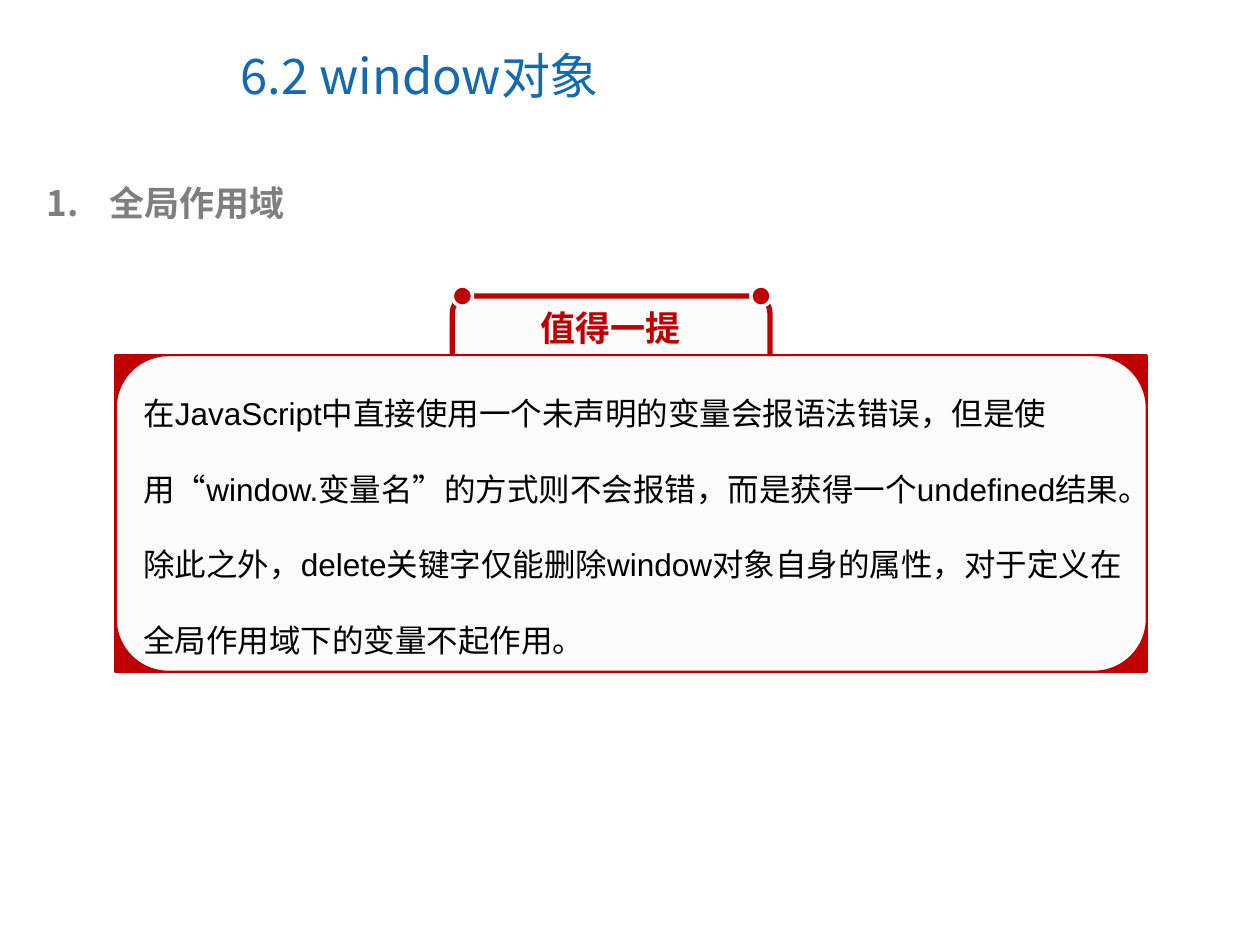
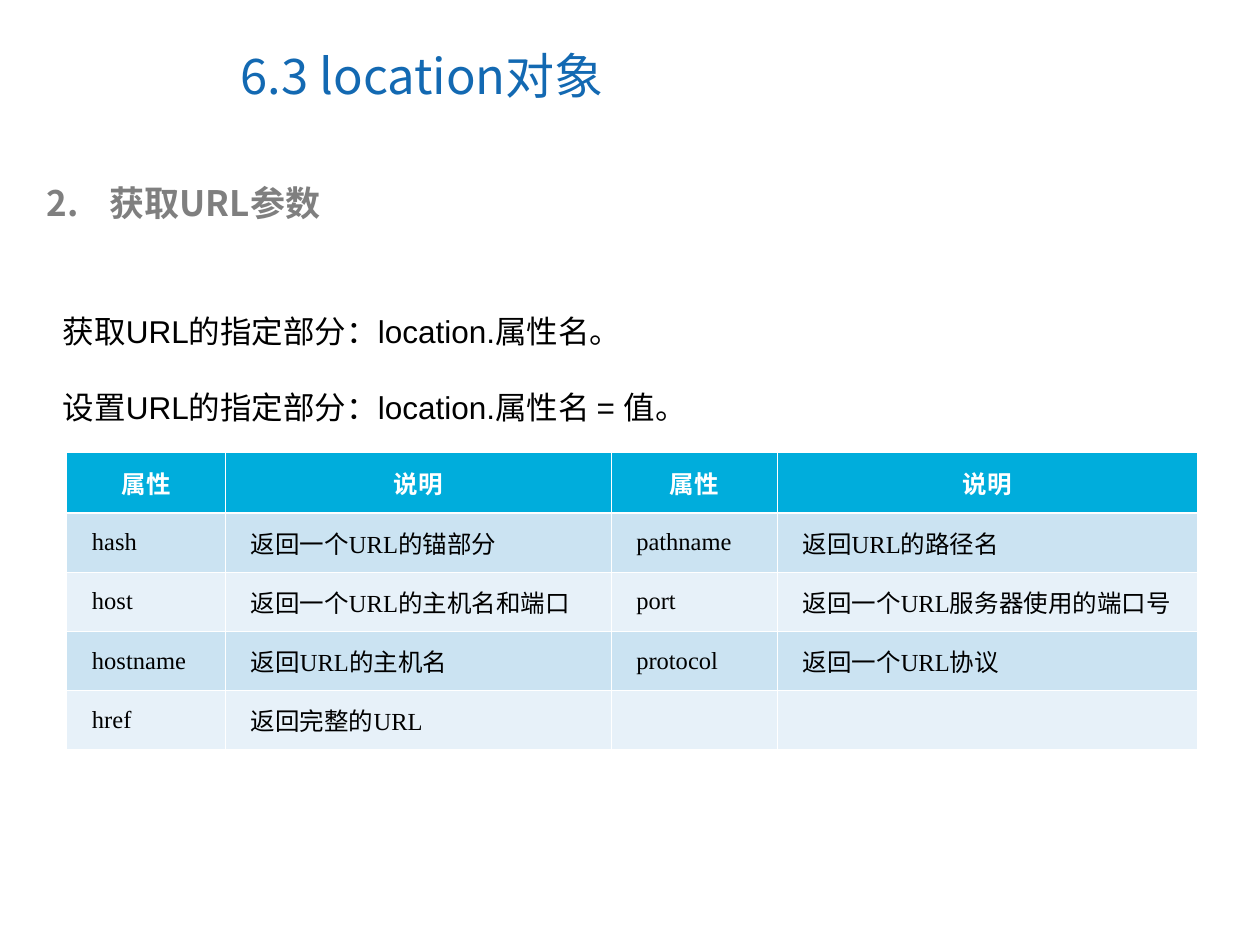
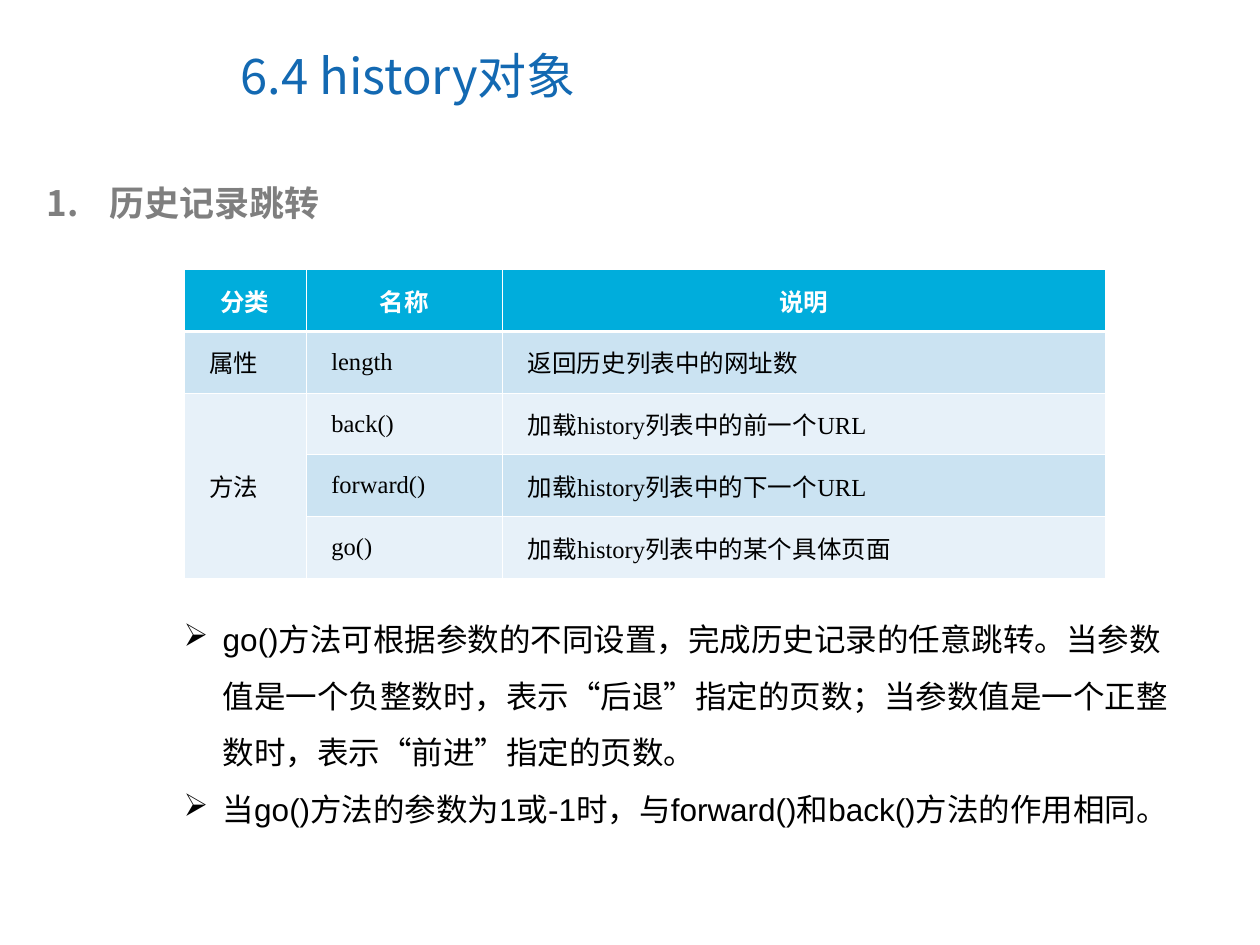
from lxml import etree
from pptx import Presentation
from pptx.dml.color import RGBColor
from pptx.enum import shapes, text
from pptx.oxml.ns import qn
from pptx.util import Inches, Pt

# Shared style
BLUE = RGBColor(0x13, 0x69, 0xB2)
GRAY = RGBColor(0x7F, 0x7F, 0x7F)
RED = RGBColor(0xC0, 0x00, 0x00)
PAPER = RGBColor(0xFB, 0xFB, 0xFB)
WHITE = RGBColor(0xFF, 0xFF, 0xFF)
BLACK = RGBColor(0x00, 0x00, 0x00)
HEADER_FILL = RGBColor(0x00, 0xAD, 0xDC)
BAND_FILLS = RGBColor(0xE7, 0xF1, 0xF9), RGBColor(0xCB, 0xE3, 0xF2)
CHINESE = "Noto Sans CJK SC"
BODY = "Arial"
CELL = "Times New Roman"
THIN, THICK = 0.5, 1.5

# Content
NOTE_TITLE = "值得一提"
NOTE = ("在JavaScript中直接使用一个未声明的变量会报语法错误，但是使用“window.变量名”的方式则不会报错，"
        "而是获得一个undefined结果。除此之外，delete关键字仅能删除window对象自身的属性，"
        "对于定义在全局作用域下的变量不起作用。")
URL_USAGE = ["获取URL的指定部分：location.属性名。", "设置URL的指定部分：location.属性名 = 值。"]
URL_ROWS = [
    ("属性", "说明", "属性", "说明"),
    ("hash", "返回一个URL的锚部分", "pathname", "返回URL的路径名"),
    ("host", "返回一个URL的主机名和端口", "port", "返回一个URL服务器使用的端口号"),
    ("hostname", "返回URL的主机名", "protocol", "返回一个URL协议"),
    ("href", "返回完整的URL", "", ""),
]
HISTORY_ROWS = [
    ("分类", "名称", "说明"),
    ("属性", "length", "返回历史列表中的网址数"),
    ("方法", "back()", "加载history列表中的前一个URL"),
    ("", "forward()", "加载history列表中的下一个URL"),
    ("", "go()", "加载history列表中的某个具体页面"),
]
HISTORY_NOTES = [
    "go()方法可根据参数的不同设置，完成历史记录的任意跳转。当参数值是一个负整数时，"
    "表示“后退”指定的页数；当参数值是一个正整数时，表示“前进”指定的页数。",
    "当go()方法的参数为1或-1时，与forward()和back()方法的作用相同。",
]


def set_font(paragraph, size, color, name=BODY, bold=False):
    font = paragraph.font
    font.size, font.name, font.bold = Pt(size), name, bold
    font.color.rgb = color
    latin = font._element.find(qn("a:latin"))
    east_asian = etree.Element(qn("a:ea"), typeface=CHINESE)
    latin.addnext(east_asian)


def add_bullet(paragraph, indent, color, tag, **attributes):
    properties = paragraph._p.get_or_add_pPr()
    properties.set("marL", str(Inches(indent)))
    properties.set("indent", str(-Inches(indent)))
    bullet_color = etree.SubElement(properties, qn("a:buClr"))
    etree.SubElement(bullet_color, qn("a:srgbClr"), val=str(color))
    etree.SubElement(properties, qn(tag), **attributes)


def add_text(slide, box, lines, wrap=True):
    frame = slide.shapes.add_textbox(*map(Inches, box)).text_frame
    frame.word_wrap = wrap
    frame.text = "\n".join(lines)
    return frame.paragraphs


def add_box(slide, kind, box, fill, line, width):
    shape = slide.shapes.add_shape(kind, *map(Inches, box))
    shape.shadow.inherit = False
    shape.fill.solid()
    shape.fill.fore_color.rgb = fill
    shape.line.color.rgb = line
    shape.line.width = Pt(width)
    return shape


def add_section(presentation, title, number, heading):
    slide = presentation.slides.add_slide(presentation.slide_layouts[5])
    shape = slide.shapes.title
    shape.left, shape.top, shape.width, shape.height = map(Inches, (1.81, 0.17, 5.16, 0.85))
    frame = shape.text_frame
    frame.text = title
    frame.auto_size = text.MSO_AUTO_SIZE.NONE
    frame.vertical_anchor = text.MSO_ANCHOR.MIDDLE
    paragraph = frame.paragraphs[0]
    paragraph.alignment = text.PP_ALIGN.LEFT
    set_font(paragraph, 28, BLUE, CHINESE)

    paragraph = add_text(slide, (0.27, 1.39, 9.22, 0.44), [heading])[0]
    add_bullet(paragraph, 0.5, GRAY, "a:buAutoNum", type="arabicPeriod", startAt=str(number))
    set_font(paragraph, 20, GRAY, CHINESE, bold=True)
    return slide


def set_borders(cell, top, bottom):
    properties = cell._tc.get_or_add_tcPr()
    for side, width in (("L", THIN), ("R", THIN), ("T", top), ("B", bottom)):
        line = etree.SubElement(properties, qn(f"a:ln{side}"), w=str(Pt(width)))
        fill = etree.SubElement(line, qn("a:solidFill"))
        etree.SubElement(fill, qn("a:srgbClr"), val=str(WHITE))


def add_grid(slide, left, top, rows, widths, heights):
    table = slide.shapes.add_table(
        len(rows), len(widths), Inches(left), Inches(top),
        Inches(sum(widths)), Inches(sum(heights))).table
    for column, width in zip(table.columns, widths):
        column.width = Inches(width)
    for i, (row, height) in enumerate(zip(rows, heights)):
        table.rows[i].height = Inches(height)
        for j, label in enumerate(row):
            cell = table.cell(i, j)
            set_borders(cell, THICK if i == 1 else THIN, THICK if i == 0 else THIN)
            cell.fill.solid()
            cell.fill.fore_color.rgb = BAND_FILLS[i % 2] if i else HEADER_FILL
            cell.vertical_anchor = text.MSO_ANCHOR.MIDDLE
            cell.margin_left = cell.margin_right = Inches(0.08)
            cell.text = label
            paragraph = cell.text_frame.paragraphs[0]
            if i == 0:
                paragraph.alignment = text.PP_ALIGN.CENTER
                set_font(paragraph, 14, WHITE, bold=True)
            else:
                paragraph.alignment = text.PP_ALIGN.JUSTIFY
                paragraph._p.get_or_add_pPr().set("marL", str(Inches(0.12)))
                set_font(paragraph, 14, BLACK, CELL)
    return table


def build_window(presentation):
    slide = add_section(presentation, "6.2 window对象", 1, "全局作用域")
    kinds = shapes.MSO_SHAPE
    # Tab behind the note, then the note panel
    add_box(slide, kinds.ROUNDED_RECTANGLE, (3.59, 2.35, 2.52, 0.79), PAPER, RED, 3)
    panel = (0.92, 2.82, 8.18, 2.51)
    add_box(slide, kinds.FLOWCHART_PROCESS, panel, RED, RED, 2)
    add_box(slide, kinds.FLOWCHART_ALTERNATE_PROCESS, panel, PAPER, RED, 1)
    # Pins on the tab corners
    for left in (3.59, 5.96):
        add_box(slide, kinds.OVAL, (left, 2.27, 0.16, 0.16), RED, WHITE, 2)
    label = add_text(slide, (4.19, 2.38, 1.31, 0.44), [NOTE_TITLE], wrap=False)[0]
    set_font(label, 20, RED, CHINESE, bold=True)
    note = add_text(slide, (1.04, 2.78, 8.07, 2.5), [NOTE])[0]
    note.line_spacing = 2.0
    set_font(note, 18, BLACK)


def build_location(presentation):
    slide = add_section(presentation, "6.3 location对象", 2, "获取URL参数")
    for paragraph in add_text(slide, (0.4, 2.13, 9.19, 1.3), URL_USAGE):
        paragraph.line_spacing = 2.0
        set_font(paragraph, 18, BLACK)
    add_grid(slide, 0.53, 3.59, URL_ROWS, (1.26, 3.06, 1.32, 3.33), [0.48] + [0.47] * 4)


def build_history(presentation):
    slide = add_section(presentation, "6.4 history对象", 1, "历史记录跳转")
    table = add_grid(slide, 1.46, 2.14, HISTORY_ROWS, (0.97, 1.56, 4.78), [0.49] * 5)
    table.cell(2, 0).merge(table.cell(4, 0))
    for paragraph in add_text(slide, (1.36, 4.72, 8.16, 2.35), HISTORY_NOTES):
        add_bullet(paragraph, 0.31, BLACK, "a:buChar", char="➢")
        paragraph.line_spacing = 1.5
        set_font(paragraph, 18, BLACK)


def main():
    presentation = Presentation()
    presentation.slide_width, presentation.slide_height = Inches(10), Inches(7.5)
    build_window(presentation)
    build_location(presentation)
    build_history(presentation)
    presentation.save("out.pptx")


if __name__ == "__main__":
    main()
